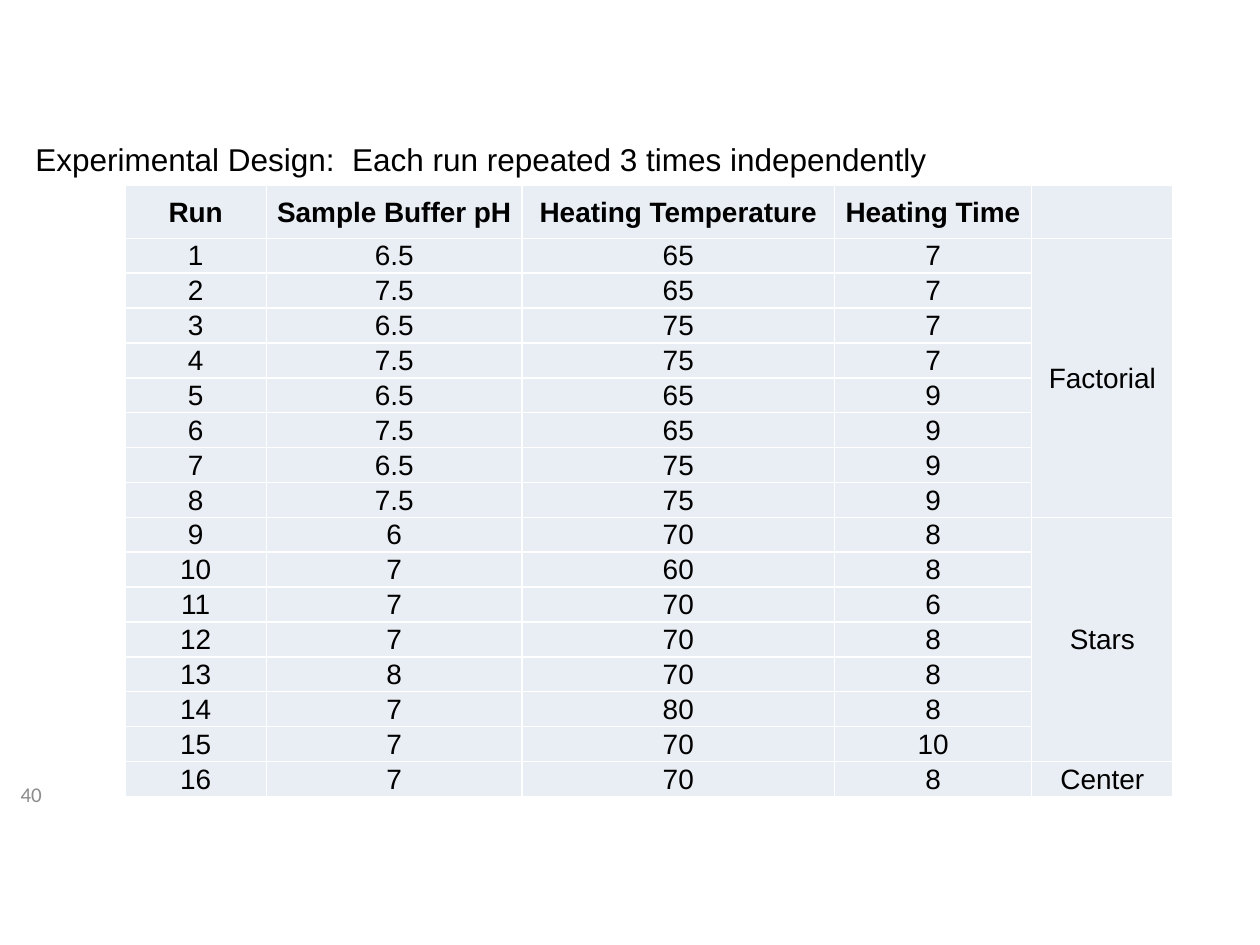
"""Build the experimental design slide with its table of sixteen runs."""
from lxml import etree
from pptx import Presentation
from pptx.dml.color import RGBColor
from pptx.enum.text import MSO_ANCHOR, MSO_AUTO_SIZE, PP_ALIGN
from pptx.oxml.ns import qn
from pptx.util import Pt

LEFT, RIGHT, MID = PP_ALIGN.LEFT, PP_ALIGN.RIGHT, PP_ALIGN.CENTER
TOP, CENTER = MSO_ANCHOR.TOP, MSO_ANCHOR.MIDDLE
FIT = MSO_AUTO_SIZE.SHAPE_TO_FIT_TEXT
COLORS = {"text": "000000", "number": "8C8C8C", "cell": "E9EDF4", "border": "FFFFFF"}


def write(frame, text, size, align, font="Arial", color="text", bold=False):
    para = frame.paragraphs[0]
    para.alignment = align
    run = para.add_run()
    run.text = text
    run.font.name = font
    run.font.size = Pt(size)
    run.font.bold = bold
    run.font.color.rgb = RGBColor.from_string(COLORS[color])


def style(cell):
    cell.margin_left = cell.margin_right = cell.margin_top = Pt(0.7)
    cell.margin_bottom = Pt(0)
    cell.vertical_anchor = CENTER
    props = cell._tc.get_or_add_tcPr()
    for side in ("a:lnL", "a:lnR", "a:lnT", "a:lnB"):
        line = etree.SubElement(props, qn(side), w=str(Pt(1)))
        fill = etree.SubElement(line, qn("a:solidFill"))
        etree.SubElement(fill, qn("a:srgbClr"), val=COLORS["border"])
    cell.fill.solid()
    cell.fill.fore_color.rgb = RGBColor.from_string(COLORS["cell"])


deck = Presentation()
deck.slide_width, deck.slide_height = Pt(720), Pt(540)
slide = deck.slides.add_slide(deck.slide_layouts[5])

number = slide.shapes.add_textbox(Pt(0), Pt(447), Pt(31), Pt(13)).text_frame
number.word_wrap = True
number.vertical_anchor = CENTER
write(number, "40", 12, RIGHT, "Calibri", "number")

title = slide.shapes.title
title.left, title.top, title.width, title.height = Pt(13), Pt(76.5), Pt(528.5), Pt(29)
title.text_frame.word_wrap = False
title.text_frame.auto_size = FIT
title.text_frame.vertical_anchor = TOP
write(title.text_frame, "Experimental Design:  Each run repeated 3 times independently", 18, LEFT)

heads = ["Run", "Sample Buffer pH", "Heating Temperature", "Heating Time"]
runs = [
    ("6.5", 65, 7), ("7.5", 65, 7), ("6.5", 75, 7), ("7.5", 75, 7),
    ("6.5", 65, 9), ("7.5", 65, 9), ("6.5", 75, 9), ("7.5", 75, 9),
    (6, 70, 8), (7, 60, 8), (7, 70, 6), (7, 70, 8),
    (8, 70, 8), (7, 80, 8), (7, 70, 10), (7, 70, 8),
]
groups = [("Factorial", 1, 8), ("Stars", 9, 15), ("Center", 16, 16)]
widths = [80.8, 146.2, 178.4, 112.8, 80.8]
heights = [30.2] + [19.94] * len(runs)

frame = slide.shapes.add_table(
    len(heights), len(widths), Pt(71.4), Pt(106), Pt(sum(widths)), Pt(sum(heights)))
table = frame.table
table.first_row = table.horz_banding = False
for col, width in zip(table.columns, widths):
    col.width = Pt(width)
for row, height in zip(table.rows, heights):
    row.height = Pt(height)
for cell in table.iter_cells():
    style(cell)

rows = [heads] + [(num, *vals) for num, vals in enumerate(runs, 1)]
for r, vals in enumerate(rows):
    for c, val in enumerate(vals):
        write(table.cell(r, c).text_frame, str(val), 16, MID, bold=r == 0)

for name, first, last in groups:
    cell = table.cell(first, 4)
    if last > first:
        cell.merge(table.cell(last, 4))
    write(cell.text_frame, name, 16, MID)

deck.save("out.pptx")
